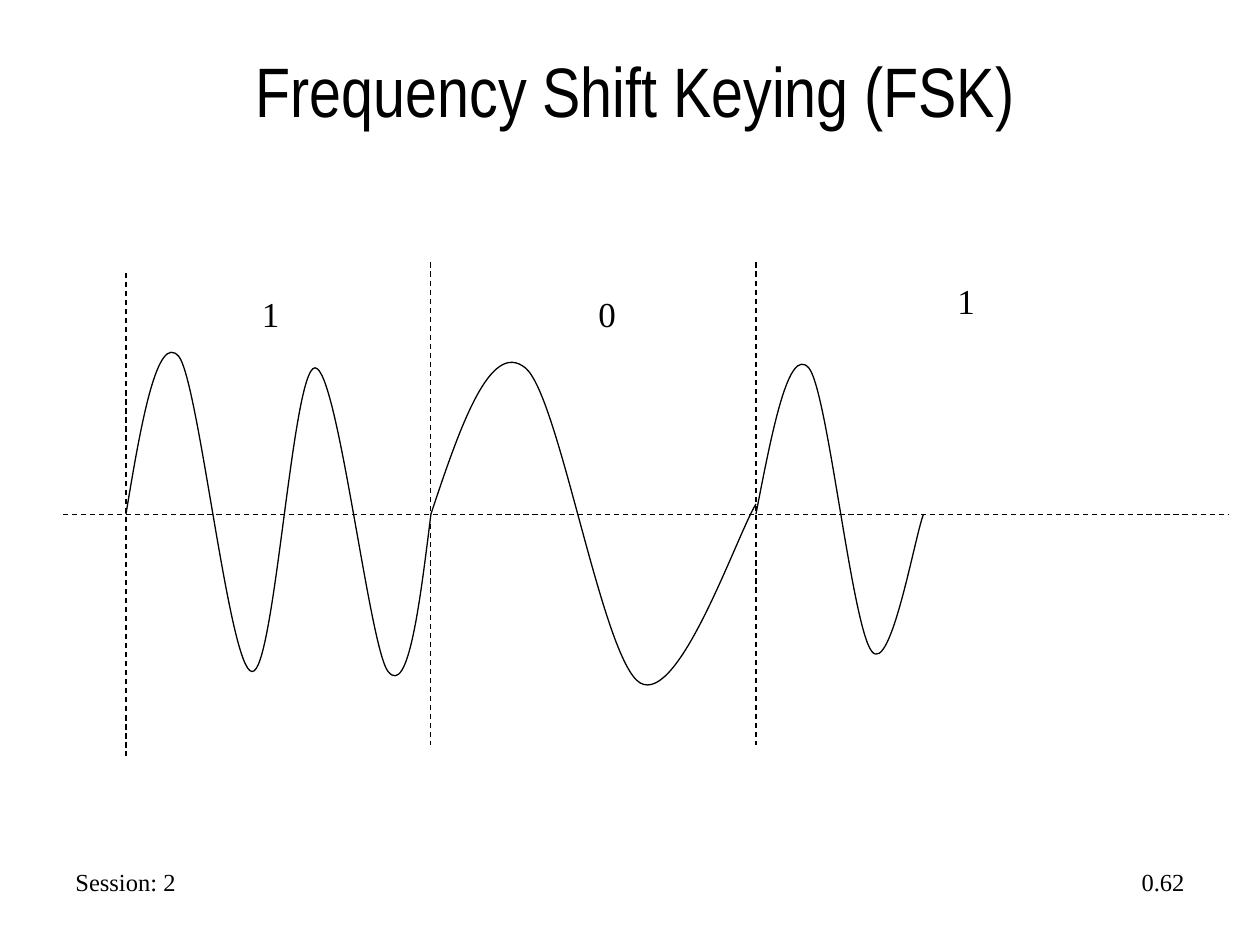
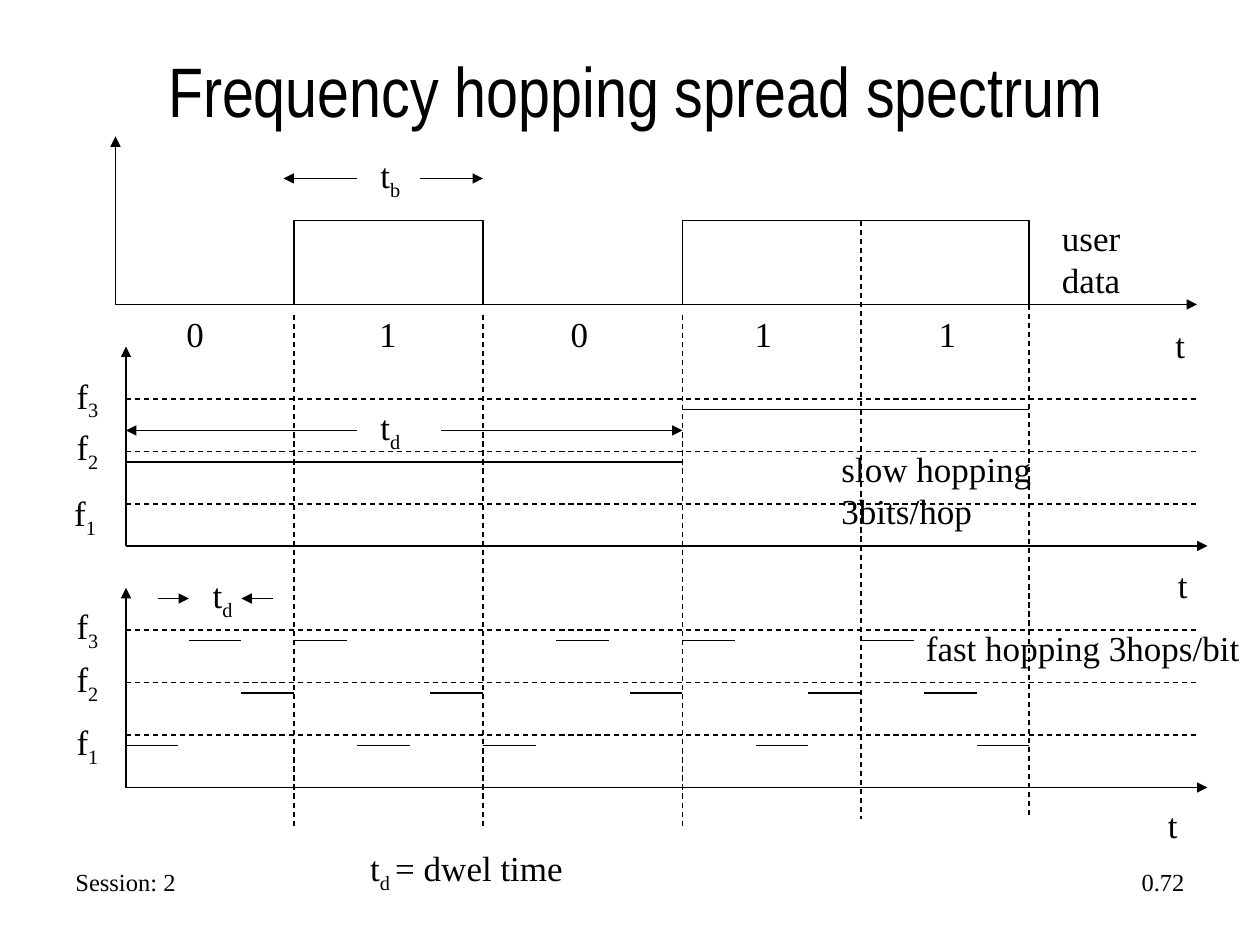
"""Build two slides on frequency keying and frequency hopping."""
from pptx import Presentation
from pptx.dml.color import RGBColor
from pptx.enum.dml import MSO_LINE
from pptx.enum.shapes import MSO_CONNECTOR, MSO_SHAPE
from pptx.enum.text import MSO_ANCHOR, MSO_AUTO_SIZE, PP_ALIGN
from pptx.oxml.ns import qn
from pptx.util import Inches, Pt
from lxml.etree import SubElement

INK = "000000"
HEAD = {"name": "Arial Narrow", "size": Pt(40)}
BODY = {"name": "Times New Roman", "size": Pt(20)}
FOOT = {"name": "Times New Roman", "size": Pt(14)}
GRID = 12
GAP = 5 / GRID


def write(slide, text, x, y, wide, high=0.44, style=BODY, align=PP_ALIGN.LEFT, wrap=False, tabs=()):
    box = slide.shapes.add_textbox(Inches(x), Inches(y), Inches(wide), Inches(high))
    frame = box.text_frame
    frame.word_wrap = wrap
    if style is HEAD:
        frame.vertical_anchor = MSO_ANCHOR.MIDDLE
    else:
        frame.auto_size = MSO_AUTO_SIZE.SHAPE_TO_FIT_TEXT
    para = frame.paragraphs[0]
    para.alignment = align
    if tabs:
        stops = SubElement(para._p.get_or_add_pPr(), qn("a:tabLst"))
        for stop in tabs:
            SubElement(stops, qn("a:tab"), pos=str(Inches(stop)), algn="l")
    for spot, part in enumerate(text.split("_")):
        run = para.add_run()
        run.text = part
        for key, value in style.items():
            setattr(run.font, key, value)
        run.font.color.rgb = RGBColor.from_string(INK)
        if spot == 1:
            run._r.get_or_add_rPr().set("baseline", "-25000")


def rule(slide, *ends, dash=False, arrow=False):
    snapped = [Inches(round(end * GRID) / GRID) for end in ends]
    line = slide.shapes.add_connector(MSO_CONNECTOR.STRAIGHT, *snapped)
    line.line.width = Pt(0.75)
    line.line.color.rgb = RGBColor.from_string(INK)
    if dash:
        line.line.dash_style = MSO_LINE.DASH
    props = line._element.spPr
    if arrow:
        SubElement(props.find(qn("a:ln")), qn("a:tailEnd"), type="triangle")
    SubElement(props, qn("a:effectLst"))


deck = Presentation()
deck.slide_width, deck.slide_height = Inches(10), Inches(7.5)
pages = []
for title, number in (("Frequency Shift Keying (FSK)", "0.62"),
                      ("Frequency hopping spread spectrum", "0.72")):
    page = deck.slides.add_slide(deck.slide_layouts[6])
    write(page, "Session: 2", 0.5, 6.83, 2.58, 0.34, FOOT, wrap=True)
    write(page, number, 7.17, 6.83, 2.33, 0.34, FOOT, PP_ALIGN.RIGHT, True)
    write(page, title, 0.5, 0.25, 9.08, 0.92, HEAD, PP_ALIGN.CENTER, True)
    pages.append(page)
keying, hopping = pages

rule(keying, 0.5, 4.08, 9.75, 4.08, dash=True)
for x, top in ((1, 2.17), (3.42, 2.08), (6, 2.08)):
    rule(keying, x, top, x, top + 3.83, dash=True)
for bit, x, y in (("1", 1.98, 2.27), ("0", 4.65, 2.27), ("1", 7.5, 2.17)):
    write(keying, bit, x, y, 0.34)

waves = (
    ((1, 4.08),
     (1.12, 3.35), (1.25, 2.63), (1.42, 2.83),
     (1.58, 3.04), (1.82, 5.32), (2, 5.33),
     (2.18, 5.35), (2.32, 2.92), (2.5, 2.92),
     (2.68, 2.92), (2.93, 5.14), (3.08, 5.33),
     (3.24, 5.53), (3.33, 4.81), (3.42, 4.08)),
    ((6, 4.08),
     (6.13, 3.41), (6.26, 2.74), (6.42, 2.92),
     (6.57, 3.1), (6.76, 4.97), (6.92, 5.17),
     (7.07, 5.36), (7.26, 4.26), (7.33, 4.08)),
    ((3.42, 4.08),
     (3.65, 3.39), (3.89, 2.69), (4.17, 2.92),
     (4.44, 3.14), (4.78, 5.24), (5.08, 5.42),
     (5.39, 5.6), (5.85, 4.24), (6, 4)),
)
for start, *points in waves:
    pen = keying.shapes.build_freeform(*map(Inches, start))
    pen.add_line_segments([tuple(map(Inches, point)) for point in points], close=False)
    wave = pen.convert_to_shape()
    wave.shadow.inherit = False
    wave.fill.background()
    wave.line.width = Pt(0.75)
    wave.line.color.rgb = RGBColor.from_string(INK)
    track = wave._element.spPr.find(".//" + qn("a:path"))
    sides = track.findall(qn("a:lnTo"))
    for first in range(0, len(sides), 3):
        bend = SubElement(track, qn("a:cubicBezTo"))
        for side in sides[first:first + 3]:
            bend.append(side[0])
            track.remove(side)

rule(hopping, 0.92, 2.42, 9.5, 2.42, arrow=True)
for x, wide in ((28, 18), (65, 33)):
    pulse = hopping.shapes.add_shape(
        MSO_SHAPE.RECTANGLE, Inches(x / GRID), Inches(1.75), Inches(wide / GRID), Inches(8 / GRID))
    pulse.shadow.inherit = False
    pulse.fill.background()
    pulse.line.width = Pt(0.75)
    pulse.line.color.rgb = RGBColor.from_string(INK)

rule(hopping, 0.92, 2.42, 0.92, 1.08, arrow=True)
for y in (4.33, 6.25):
    rule(hopping, 1, y, 9.58, y, arrow=True)
    rule(hopping, 1, y, 1, y - 1.58, arrow=True)
for x, top, end in ((2.33, 2.5, 6.58), (3.83, 2.5, 6.58), (5.42, 2.5, 6.58),
                    (6.83, 1.75, 6.5), (8.17, 2.42, 6.5)):
    rule(hopping, x, top, x, end, dash=True)

for top, labels in ((3.17, ((0.51, 2.92), (0.51, 3.33), (0.49, 3.85))),
                    (5, ((0.51, 4.75), (0.51, 5.17), (0.51, 5.67)))):
    for row, (x, y) in enumerate(labels):
        level = top + row * GAP
        rule(hopping, 1, level, 9.5, level, dash=True)
        write(hopping, f"f_{3 - row}", x, y, 0.37, 0.48)

rule(hopping, 1, 3.67, 5.42, 3.67)
rule(hopping, 5.42, 3.25, 8.17, 3.25)
hops = {1: (1, 2.83, 3.83, 6, 7.75),
        2: (1.92, 3.42, 5, 6.42, 7.33),
        3: (1.5, 2.33, 4.42, 5.42, 6.83)}
for tone, starts in hops.items():
    level = 5.08 + (3 - tone) * GAP
    for x in starts:
        rule(hopping, x, level, x + GAP, level)

for y, left, right in ((1.42, (2.83, 2.25), (3.33, 3.83)),
                       (3.42, (2.83, 1), (3.5, 5.42)),
                       (4.75, (1.25, 1.5), (2.17, 1.92))):
    for x1, x2 in (left, right):
        rule(hopping, x1, y, x2, y, arrow=True)

write(hopping, "0\t1\t0\t1\t1", 1.38, 2.43, 6.32, wrap=True, tabs=(1.53, 3.05, 4.51, 5.97))
for text, x, y, wide, high in (
        ("t_b", 2.92, 1.17, 0.36, 0.48),
        ("t_d", 2.92, 3.17, 0.36, 0.48),
        ("t_d", 1.59, 4.5, 0.36, 0.48),
        ("t", 9.23, 2.52, 0.27, 0.44),
        ("t", 9.25, 4.42, 0.27, 0.44),
        ("t", 9.17, 6.33, 0.27, 0.44),
        ("user data", 8.33, 1.67, 1.19, 0.44),
        ("slow hopping 3bits/hop", 6.58, 3.5, 2.81, 0.44),
        ("fast hopping 3hops/bit", 7.25, 4.92, 2.69, 0.44),
        ("t_d _= dwel time", 2.84, 6.67, 1.73, 0.48)):
    write(hopping, text, x, y, wide, high)

deck.save("out.pptx")
